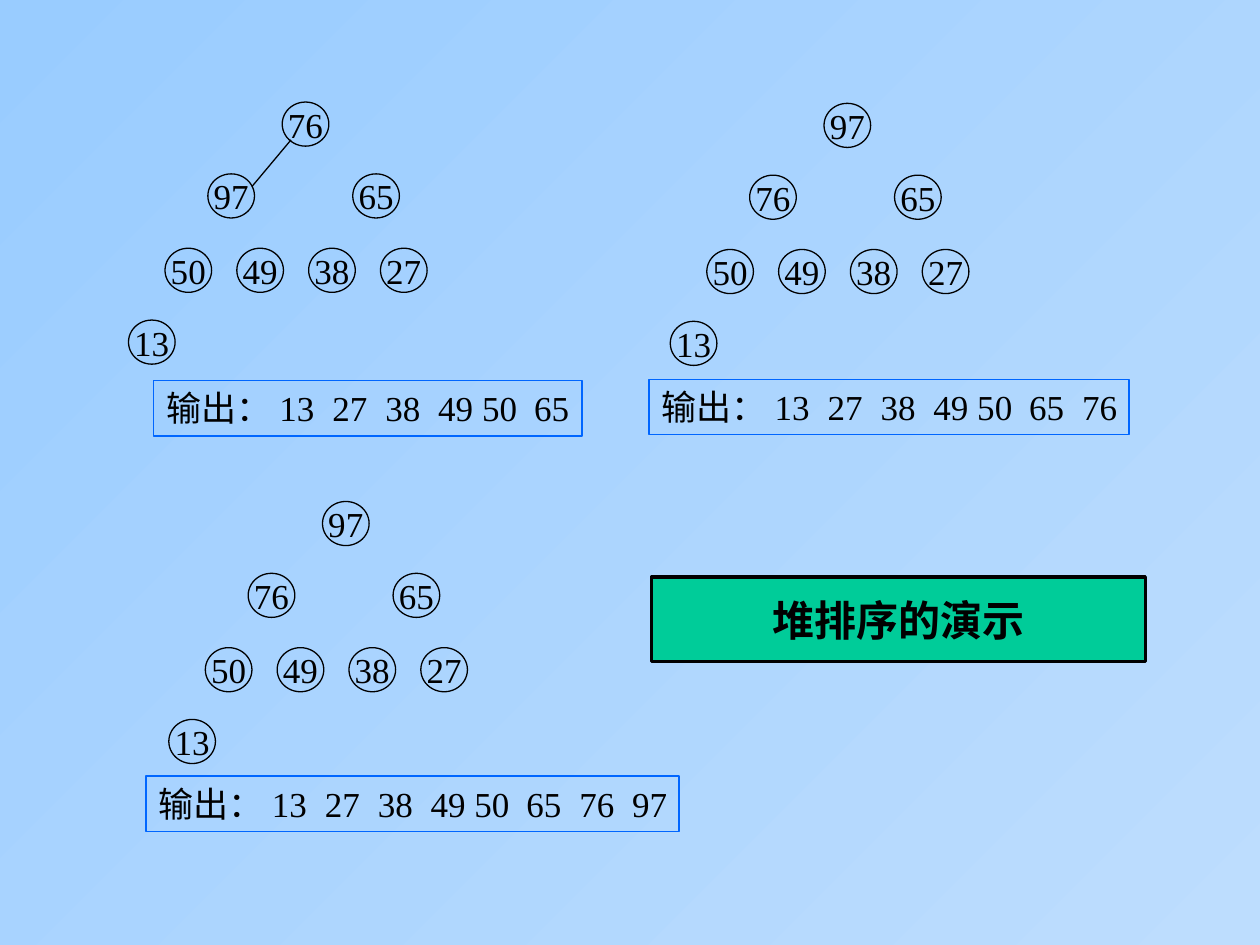
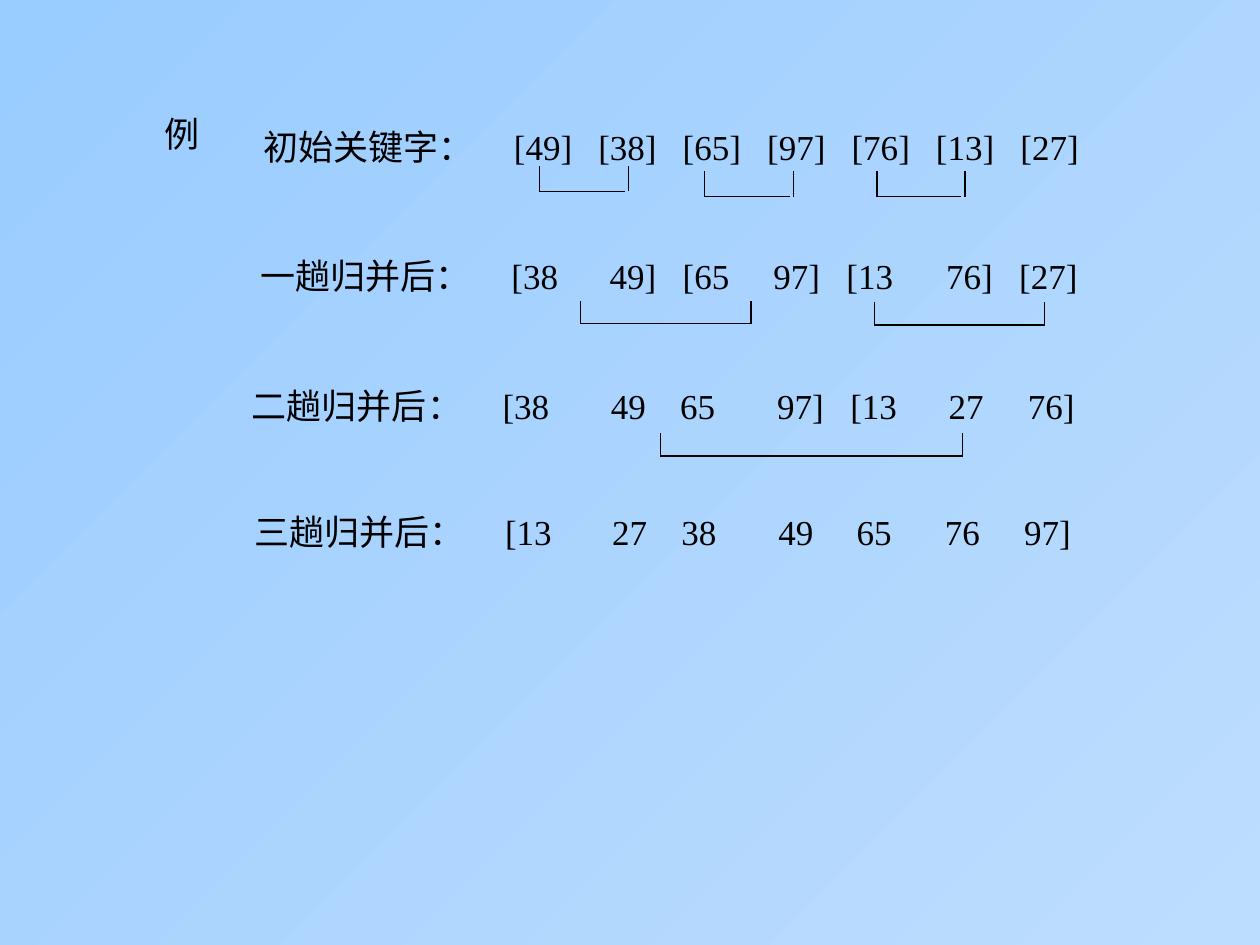
from dataclasses import dataclass

from lxml.etree import SubElement
from pptx import Presentation
from pptx.dml.color import RGBColor as Color
from pptx.enum.shapes import MSO_CONNECTOR as Connector, MSO_SHAPE as Shape
from pptx.enum.text import MSO_ANCHOR as Anchor, PP_ALIGN as Align
from pptx.oxml.ns import qn
from pptx.util import Inches, Pt


@dataclass(frozen=True)
class Theme:
    font: str = "Times New Roman"
    ink: Color = Color(0, 0, 0)
    frame: Color = Color(0x00, 0x66, 0xFF)
    banner: Color = Color(0x00, 0xCC, 0x99)
    light: Color = Color(0xBD, 0xDD, 0xFE)
    deep: Color = Color(0x99, 0xCC, 0xFF)
    body_size: int = 20
    banner_size: int = 24
    thin: float = 0.75
    thick: float = 2


THEME = Theme()
NODE_WIDTH, NODE_HEIGHT = 0.37, 0.35
INSET, LINE_HEIGHT = 0.1, 0.44
NODE_OFFSETS = (
    [(0, 0), (-0.59, 0.57), (0.56, 0.57)]
    + [(-0.93 + 0.57 * column, 1.16) for column in range(4)]
    + [(-1.22, 1.73)]
)
OUTPUT_STOPS = [0.9 + 0.42 * column for column in range(4)] + [2.92, 3.34, 3.76]
OUTPUT_KEYS = ["13", "27", "38", "49 50", "65", "76", "97"]


def paint_background(master):
    fill = master.background.fill
    fill.gradient()
    fill.gradient_angle = 135
    for stop, color in zip(fill.gradient_stops, (THEME.light, THEME.deep)):
        stop.color.rgb = color


def style_line(line, color=THEME.ink, width=THEME.thin):
    line.color.rgb = color
    line.width = Pt(width)


def write(box, text, size=THEME.body_size, stops=(), align=Align.LEFT, bold=False):
    para = box.text_frame.paragraphs[0]
    para.text = text
    para.alignment = align
    if stops:
        tabs = SubElement(para._p.get_or_add_pPr(), qn("a:tabLst"))
        for stop in stops:
            SubElement(tabs, qn("a:tab"), pos=str(Inches(stop)), algn="l")
    font = para.font
    font.name, font.size, font.bold = THEME.font, Pt(size), bold
    font.color.rgb = THEME.ink


def add_outlined(canvas, kind, left, top, width, height, color=THEME.ink, weight=THEME.thin):
    shape = canvas.add_shape(kind, Inches(left), Inches(top), Inches(width), Inches(height))
    shape.shadow.inherit = False
    shape.fill.background()
    style_line(shape.line, color, weight)
    shape.text_frame.word_wrap = False
    shape.text_frame.vertical_anchor = Anchor.MIDDLE
    return shape


def add_line(canvas, start, end):
    line = canvas.add_connector(Connector.STRAIGHT, *map(Inches, (*start, *end)))
    style_line(line.line)
    SubElement(line._element.spPr, qn("a:effectLst"))


def add_heap(page, left, top, keys):
    canvas = page.shapes.add_group_shape().shapes
    for key, (across, down) in zip(keys, NODE_OFFSETS):
        node = add_outlined(canvas, Shape.OVAL, left + across, top + down, NODE_WIDTH, NODE_HEIGHT)
        write(node, key, align=Align.CENTER)
    return canvas


def add_output(canvas, left, top, width, count):
    box = add_outlined(canvas, Shape.RECTANGLE, left, top, width, LINE_HEIGHT, THEME.frame)
    box.text_frame.vertical_anchor = Anchor.TOP
    box.text_frame.word_wrap = True
    box.text_frame.margin_right = 0
    write(box, "\t".join(["输出：", *OUTPUT_KEYS[:count]]), stops=OUTPUT_STOPS[:count])


def curve_point(points, step):
    rest = 1 - step
    weights = (rest ** 3, 3 * rest ** 2 * step, 3 * rest * step ** 2, step ** 3)
    return tuple(sum(w * point[axis] for w, point in zip(weights, points)) for axis in (0, 1))


def add_swap_arrow(page):
    bends = [
        [(2.26, 0.9), (2.09, 0.96), (1.93, 1.01), (1.84, 1.1)],
        [(1.84, 1.1), (1.74, 1.18), (1.72, 1.3), (1.7, 1.43)],
    ]
    points = [curve_point(bend, step / 8) for bend in bends for step in range(9)]
    builder = page.shapes.build_freeform(*points[0], scale=Inches(1))
    builder.add_line_segments(points[1:], close=False)
    arrow = builder.convert_to_shape()
    arrow.shadow.inherit = False
    arrow.fill.background()
    style_line(arrow.line)
    for end in ("a:headEnd", "a:tailEnd"):
        SubElement(arrow.line._get_or_add_ln(), qn(end), type="triangle")


def add_banner(page, text):
    banner = add_outlined(
        page.shapes, Shape.RECTANGLE, 5.17, 4.58, 3.92, 0.67, weight=THEME.thick
    )
    banner.fill.solid()
    banner.fill.fore_color.rgb = THEME.banner
    write(banner, text, THEME.banner_size, align=Align.CENTER, bold=True)


def add_row(page, left, top, width, label, keys=(), columns=()):
    box = page.shapes.add_textbox(Inches(left), Inches(top), Inches(width), Inches(LINE_HEIGHT))
    box.text_frame.word_wrap = True
    box.text_frame.margin_right = 0
    stops = [column - left - INSET for column in columns]
    write(box, "\t".join([label, *keys]), stops=stops)


def add_brackets(page, spans, height, gap=0):
    canvas = page.shapes.add_group_shape().shapes
    for left, right, base in spans:
        add_line(canvas, (left, base - height), (left, base))
        add_line(canvas, (left, base), (right - gap, base))
        add_line(canvas, (right, base), (right, base - height))


def build_heap_page(page):
    sorted_keys = ["97", "76", "65", "50", "49", "38", "27", "13"]
    swapped_keys = ["76", "97", *sorted_keys[2:]]
    first = add_heap(page, 2.24, 0.81, swapped_keys)
    add_line(first, (2.31, 1.11), (2, 1.48))
    add_output(first, 1.22, 3.02, 3.4, 5)
    add_swap_arrow(page)
    add_output(add_heap(page, 6.54, 0.82, sorted_keys), 5.15, 3.01, 3.81, 6)
    add_output(add_heap(page, 2.56, 3.98, sorted_keys), 1.16, 6.16, 4.23, 7)
    add_banner(page, "堆排序的演示")


def build_merge_page(page):
    rows = [
        (1.99, 0.95, "初始关键字：", "[49] [38] [65] [97] [76] [13] [27]",
         [4.08 + 0.67 * column for column in range(7)]),
        (1.97, 1.97, "一趟归并后：", "[38 49] [65 97] [13 76] [27]",
         [4.06, 4.84, 5.42, 6.14, 6.72, 7.51, 8.09]),
        (1.9, 3, "二趟归并后：", "[38 49 65 97] [13 27 76]",
         [3.99, 4.85, 5.4, 6.17, 6.75, 7.53, 8.16]),
        (1.92, 4, "三趟归并后：", "[13 27 38 49 65 76 97]",
         [4.01, 4.86, 5.41, 6.18, 6.8, 7.5, 8.13]),
    ]
    add_row(page, 1.21, 0.84, 0.48, "例")
    for left, top, label, keys, columns in rows:
        add_row(page, left, top, 6.7, label, keys.split(), columns)
    add_brackets(page, [(4.28, 4.99, 1.52), (5.59, 6.3, 1.56), (6.96, 7.66, 1.56)], 0.2, 0.03)
    add_brackets(page, [(4.61, 5.96, 2.57), (6.94, 8.29, 2.58)], 0.18)
    add_brackets(page, [(5.24, 7.64, 3.62)], 0.18)


def main():
    deck = Presentation()
    deck.slide_width, deck.slide_height = Inches(10), Inches(7.5)
    paint_background(deck.slide_master)
    for build in (build_heap_page, build_merge_page):
        build(deck.slides.add_slide(deck.slide_layouts[6]))
    deck.save("out.pptx")


if __name__ == "__main__":
    main()
